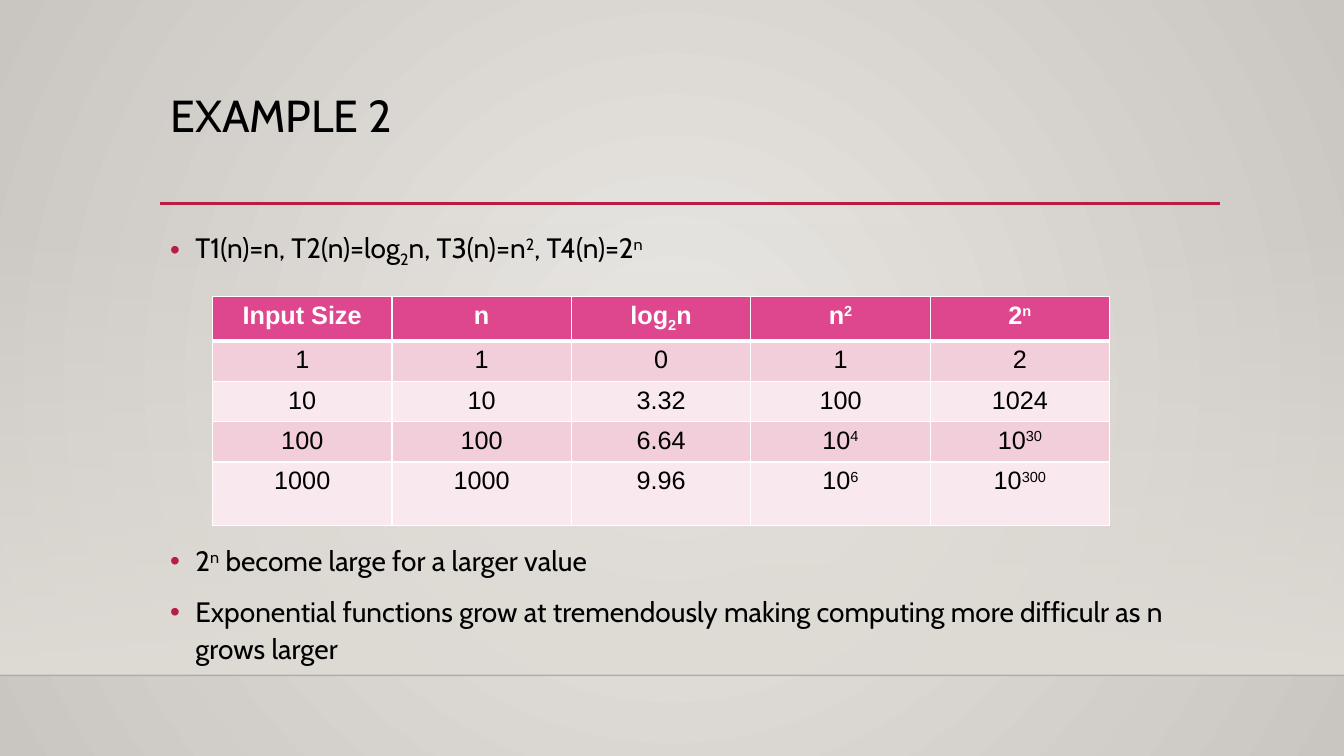
from dataclasses import dataclass

from lxml import etree
from pptx import Presentation
from pptx import util as u
from pptx.dml.color import RGBColor
from pptx.enum import shapes, text
from pptx.oxml import parse_xml
from pptx.oxml.ns import nsdecls, qn

BLACK = RGBColor(0x00, 0x00, 0x00)
WHITE = RGBColor(0xFF, 0xFF, 0xFF)
RED = RGBColor(0xB7, 0x1E, 0x42)
PINK = RGBColor(0xDE, 0x47, 0x8E)
BAND_DARK = RGBColor(0xF2, 0xCE, 0xDA)
BAND_LIGHT = RGBColor(0xF9, 0xE8, 0xED)
SAND_LIGHT = RGBColor(0xEB, 0xE9, 0xE6)
SAND_DARK = RGBColor(0xC9, 0xC5, 0xC0)
SAND = RGBColor(0xDF, 0xDB, 0xD5)

WIDTH, HEIGHT = u.Inches(13.33), u.Inches(7.5)
COLUMNS, ROWS = 160, 90
BODY_FONT, TABLE_FONT = "Cabin", "Arial"
BASELINES = {"^": 30000, "_": -25000}


@dataclass
class Area:
    """A rectangle in grid columns and rows."""
    left: float
    top: float
    width: float
    height: float

    def place(self) -> tuple[int, int, int, int]:
        return across(self.left), down(self.top), across(self.width), down(self.height)


@dataclass
class Rule:
    start: float
    end: float
    row: float
    color: RGBColor
    points: float
    opacity: int = 100


@dataclass
class Bullet:
    words: str
    space_before: float


@dataclass
class Style:
    font: str
    size: float
    color: RGBColor
    bold: bool = False


TITLE_AREA = Area(19.08, 10.56, 126, 13.8)
BODY_AREA = Area(19.08, 26.4, 128.4, 53.04)
PANEL_AREA = Area(0, 26.5, COLUMNS, 53.9)
TABLE_AREA = Area(25.3, 35.28, 106.8, 25.32)
ROW_HEIGHT, LAST_ROW_HEIGHT = 4.44, 7.56

RULES = [
    Rule(0, COLUMNS, 80.4, BLACK, 1, 20),
    Rule(19.08, 145.2, 24.24, RED, 2.5),
]
# Spans are split at "|"; "^" raises a span and "_" lowers it
BULLETS = [
    Bullet("T1(n)=n, T2(n)=log|_2|n, T3(n)=n|^2|, T4(n)=2|^n", 0),
    Bullet("2|^n| become large for a larger value", 194),
    Bullet("Exponential functions grow at tremendously making computing "
           "more difficulr as n grows larger", 10),
]
GROWTH = [
    ["Input Size", "n", "log|_2|n", "n|^2", "2|^n"],
    ["1", "1", "0", "1", "2"],
    ["10", "10", "3.32", "100", "1024"],
    ["100", "100", "6.64", "10|^4", "10|^30"],
    ["1000", "1000", "9.96", "10|^6", "10|^300"],
]


def across(columns: float) -> int:
    return round(WIDTH * columns / COLUMNS)


def down(rows: float) -> int:
    return round(HEIGHT * rows / ROWS)


def write_spans(para, words: str, style: Style) -> None:
    for part in words.split("|"):
        span = para.add_run()
        span.text = part.lstrip("^_")
        span.font.name = style.font
        span.font.size = u.Pt(style.size)
        span.font.bold = style.bold
        span.font.color.rgb = style.color
        if part[0] in BASELINES:
            span.font._element.set("baseline", str(BASELINES[part[0]]))


def set_gradient(fill, first: RGBColor, last: RGBColor, first_alpha: int, shade: str) -> None:
    fill.gradient()
    gradient = fill._xPr.find(qn("a:gradFill"))
    gradient.getparent().replace(gradient, parse_xml(
        f'<a:gradFill {nsdecls("a")} rotWithShape="1"><a:gsLst>'
        f'<a:gs pos="0"><a:srgbClr val="{first}"><a:alpha val="{first_alpha * 1000}"/></a:srgbClr></a:gs>'
        f'<a:gs pos="100000"><a:srgbClr val="{last}"/></a:gs>'
        f'</a:gsLst>{shade}</a:gradFill>'))


def draw_panel(page) -> None:
    panel = page.shapes.add_shape(shapes.MSO_SHAPE.RECTANGLE, *PANEL_AREA.place())
    panel.shadow.inherit = False
    panel.line.fill.background()
    set_gradient(panel.fill, SAND, SAND, 0, '<a:lin ang="5400000" scaled="0"/>')


def draw_rule(page, rule: Rule) -> None:
    line = page.shapes.add_connector(
        shapes.MSO_CONNECTOR.STRAIGHT,
        across(rule.start), down(rule.row), across(rule.end), down(rule.row))
    line.line.color.rgb = rule.color
    line.line.width = u.Pt(rule.points)
    if rule.opacity < 100:
        color = line._element.spPr.find(".//" + qn("a:srgbClr"))
        etree.SubElement(color, qn("a:alpha"), val=str(rule.opacity * 1000))
    etree.SubElement(line._element.spPr, qn("a:effectLst"))


def write_title(page) -> None:
    title = page.shapes.title
    title.left, title.top, title.width, title.height = TITLE_AREA.place()
    frame = title.text_frame
    frame.auto_size = text.MSO_AUTO_SIZE.NONE
    frame.vertical_anchor = text.MSO_ANCHOR.TOP
    para = frame.paragraphs[0]
    para.alignment = text.PP_ALIGN.LEFT
    para.line_spacing = 0.9
    write_spans(para, "EXAMPLE 2", Style(BODY_FONT, 32, BLACK))


def write_bullets(page, bullets: list[Bullet]) -> None:
    frame = page.shapes.add_textbox(*BODY_AREA.place()).text_frame
    frame.word_wrap = True
    for index, bullet in enumerate(bullets):
        para = frame.add_paragraph() if index else frame.paragraphs[0]
        props = para._p.get_or_add_pPr()
        props.set("marL", str(u.Inches(0.25)))
        props.set("indent", str(-u.Inches(0.25)))
        color = etree.SubElement(props, qn("a:buClr"))
        etree.SubElement(color, qn("a:srgbClr"), val=str(RED))
        etree.SubElement(props, qn("a:buFont"), typeface="Arial")
        etree.SubElement(props, qn("a:buChar"), char="•")
        para.line_spacing = 1.1
        para.space_before = u.Pt(bullet.space_before)
        write_spans(para, bullet.words, Style(BODY_FONT, 20, BLACK))


def set_borders(cell, top: float, bottom: float) -> None:
    props = cell._tc.get_or_add_tcPr()
    for side, points in (("L", 1), ("R", 1), ("T", top), ("B", bottom)):
        border = etree.SubElement(props, qn(f"a:ln{side}"), w=str(u.Pt(points)))
        solid = etree.SubElement(border, qn("a:solidFill"))
        etree.SubElement(solid, qn("a:srgbClr"), val=str(WHITE))


def draw_table(page, rows: list[list[str]]) -> None:
    table = page.shapes.add_table(len(rows), len(rows[0]), *TABLE_AREA.place()).table
    for row in table.rows:
        row.height = down(ROW_HEIGHT)
    table.rows[len(rows) - 1].height = down(LAST_ROW_HEIGHT)
    for r, row in enumerate(rows):
        header = r == 0
        style = Style(TABLE_FONT, 18, WHITE if header else BLACK, header)
        for c, words in enumerate(row):
            cell = table.cell(r, c)
            set_borders(cell, 3 if r == 1 else 1, 3 if header else 1)
            cell.fill.solid()
            cell.fill.fore_color.rgb = PINK if header else (BAND_LIGHT, BAND_DARK)[r % 2]
            para = cell.text_frame.paragraphs[0]
            para.alignment = text.PP_ALIGN.CENTER
            write_spans(para, words, style)


def main() -> None:
    deck = Presentation()
    deck.slide_width, deck.slide_height = WIDTH, HEIGHT
    page = deck.slides.add_slide(deck.slide_layouts[5])

    # Backdrop
    set_gradient(page.background.fill, SAND_LIGHT, SAND_DARK, 100,
                 '<a:path path="circle"><a:fillToRect l="50000" t="50000" r="50000" b="50000"/></a:path>')
    draw_panel(page)
    for rule in RULES:
        draw_rule(page, rule)

    # Content
    write_title(page)
    write_bullets(page, BULLETS)
    draw_table(page, GROWTH)
    deck.save("out.pptx")


if __name__ == "__main__":
    main()
